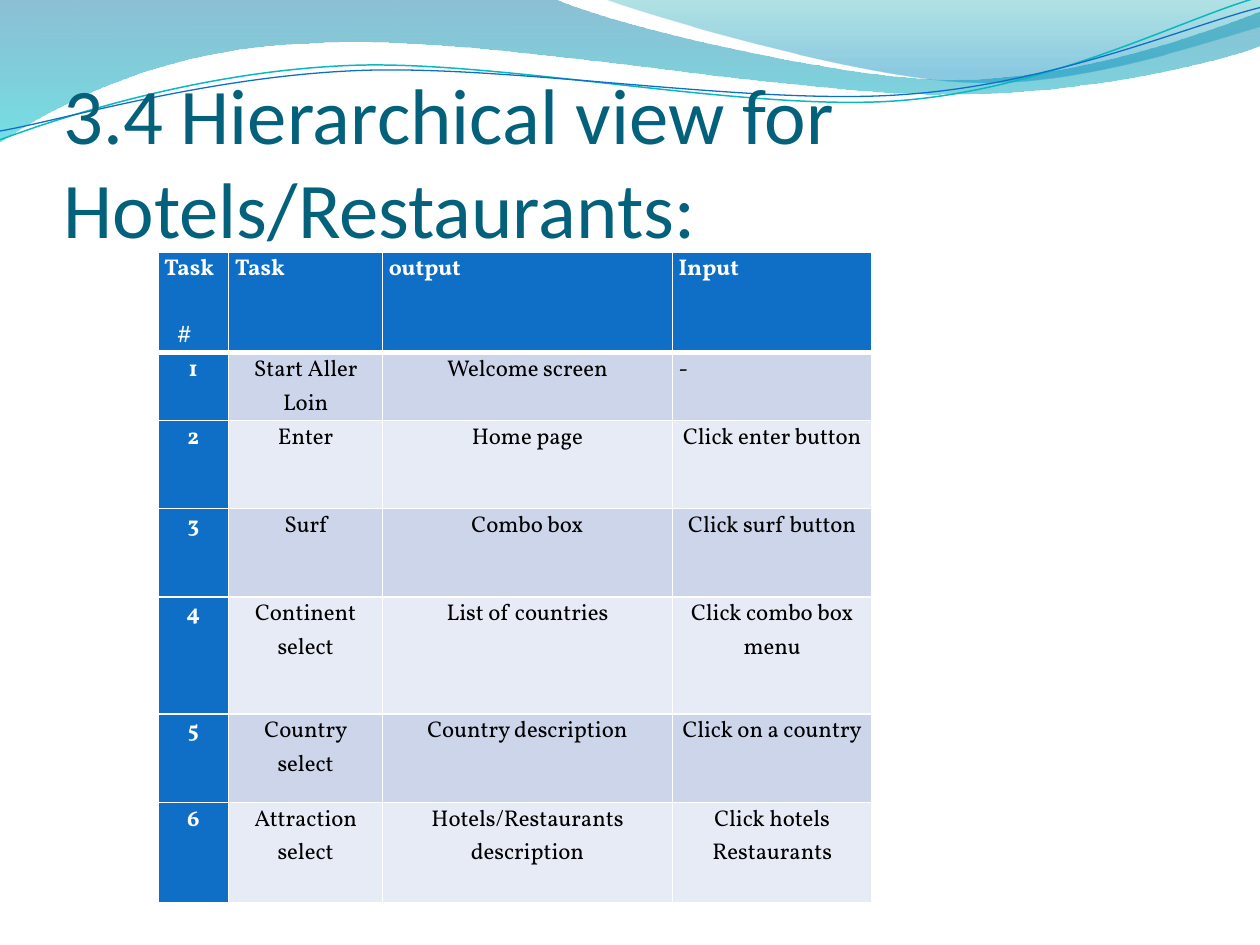
from lxml.etree import SubElement
from pptx import Presentation
from pptx.dml.color import RGBColor
from pptx.enum.text import MSO_ANCHOR, PP_ALIGN
from pptx.oxml.ns import qn
from pptx.util import Pt

WHITE = RGBColor(0xFF, 0xFF, 0xFF)
BLACK = RGBColor(0x00, 0x00, 0x00)
BLUE = RGBColor(0x0F, 0x6F, 0xC6)
TEAL = RGBColor(0x0A, 0xB8, 0xBF)
TITLE = RGBColor(0x04, 0x61, 0x7B)
BANDS = [RGBColor(0xCC, 0xD5, 0xEA), RGBColor(0xE7, 0xEB, 0xF5)]
BACK_GRADIENT = [(0, RGBColor(0x00, 0x74, 0xA1), 45), (1, RGBColor(0x00, 0xC6, 0xCF), 55)]
FRONT_GRADIENT = [(0, RGBColor(0x00, 0xA1, 0xA9), 30), (0.8, RGBColor(0x00, 0x8B, 0xBF), 45)]

BACK_WAVE = [
    [(0, 0)],
    [(316.8, -0.7)],
    [(342.7, 12.2), (478.1, 45.4), (545.8, 45.4)],
    [(614.2, 45.4), (689.8, 18.7), (720, 6.5)],
    [(720.7, 25.9)],
    [(707.8, 31.7), (626.4, 54.7), (537.1, 54)],
    [(447.8, 54), (275, 20.2), (185, 24.5)],
    [(92.9, 25.9), (33.1, 59.8), (-0.7, 81.4)],
    [(0, 0)],
]
FRONT_WAVE = [
    [(344.9, -0.7)],
    [(366.5, 7.9), (491, 44.6), (553.7, 46.8)],
    [(616.3, 49.7), (691.9, 23), (720, 15.1)],
    [(720, 0)],
    [(344.9, -0.7)],
]
TEAL_LINE = [
    [(-1.4, 62.9)],
    [(33.8, 51.7), (114.1, 29.4), (199.8, 29.9)],
    [(284.8, 30.3), (425.9, 67.3), (512.5, 64.8)],
    [(599.1, 62.4), (676.5, 25.7), (720.2, 15.6)],
]
BLUE_LINE = [
    [(-1.1, 57.9)],
    [(32.9, 53.7), (118.3, 32.5), (204.1, 33)],
    [(290.6, 33.4), (428.9, 63.8), (515.5, 61.4)],
    [(601.4, 59.6), (678.4, 30.1), (721.4, 21.3)],
]
LINE_ROTATION = 357.3

COL_WIDTHS = [40.5, 87.9, 165.6, 114.1]
ROW_HEIGHTS = [57.4, 38.9, 50.4, 50.4, 67, 50.4, 57.6]
ROWS = [
    ["Task\n#", "Task", "output", "Input"],
    ["1", "Start Aller Loin", "Welcome screen", "-"],
    ["2", "Enter", "Home page", "Click enter button"],
    ["3", "Surf", "Combo box", "Click surf button"],
    ["4", "Continent select", "List of countries", "Click combo box menu"],
    ["5", "Country select", "Country description", "Click on a country"],
    ["6", "Attraction select", "Hotels/Restaurants description", "Click hotels\nRestaurants"],
]


def add_outline(s, path, close):
    points = [(Pt(x), Pt(y)) for segment in path for x, y in segment]
    builder = s.shapes.build_freeform(*points[0])
    builder.add_line_segments(points[1:], close=close)
    sp = builder.convert_to_shape()
    sp.shadow.inherit = False
    steps = iter(list(sp._element.iter(qn("a:lnTo"))))
    for segment in path[1:]:
        parts = [next(steps) for _ in segment]
        if len(parts) == 3:
            curve = parts[0].makeelement(qn("a:cubicBezTo"))
            parts[0].addprevious(curve)
            for part in parts:
                curve.append(part[0])
                part.getparent().remove(part)
    return sp


def add_wave(s, path, gradient):
    sp = add_outline(s, path, True)
    sp.line.fill.background()
    sp.fill.gradient()
    sp.fill.gradient_angle = 270
    for stop, (position, color, _) in zip(sp.fill.gradient_stops, gradient):
        stop.position = position
        stop.color.rgb = color
    colors = sp._element.spPr.find(qn("a:gradFill")).iter(qn("a:srgbClr"))
    for el, (_, _, opacity) in zip(colors, gradient):
        SubElement(el, qn("a:alpha"), val=str(opacity * 1000))


def add_curve(s, path, color, width):
    sp = add_outline(s, path, False)
    sp.rotation = LINE_ROTATION
    sp.fill.background()
    sp.line.color.rgb = color
    sp.line.width = Pt(width)


def add_run(p, text, font, size, color, bold=False):
    r = p.add_run()
    r.text = text
    r.font.name = font
    r.font.size = Pt(size)
    r.font.color.rgb = color
    r.font.bold = bold


def add_title(s, text):
    tf = s.shapes.add_textbox(Pt(36.3), Pt(55.4), Pt(648), Pt(90)).text_frame
    tf.word_wrap = True
    tf.vertical_anchor = MSO_ANCHOR.BOTTOM
    tf.margin_left = tf.margin_right = tf.margin_bottom = Pt(0)
    tf.margin_top = Pt(3.6)
    add_run(tf.paragraphs[0], text, "Calibri", 45, TITLE)


def set_borders(cell, top, bottom):
    tcPr = cell._tc.get_or_add_tcPr()
    for side, width in (("L", 1), ("R", 1), ("T", top), ("B", bottom)):
        ln = SubElement(tcPr, qn(f"a:ln{side}"), w=str(Pt(width)))
        fill = SubElement(ln, qn("a:solidFill"))
        SubElement(fill, qn("a:srgbClr"), val=str(WHITE))


def fill_cell(cell, text, row, col):
    header = row == 0
    strong = header or col == 0
    set_borders(cell, 3 if row == 1 else 1, 3 if header else 1)
    cell.fill.solid()
    cell.fill.fore_color.rgb = BLUE if strong else BANDS[(row - 1) % 2]
    cell.margin_left = cell.margin_right = Pt(3.6)
    cell.margin_top = cell.margin_bottom = Pt(0)
    tf = cell.text_frame
    for i, line in enumerate(text.split("\n")):
        p = tf.add_paragraph() if i else tf.paragraphs[0]
        p.alignment = PP_ALIGN.JUSTIFY if header or text == "-" else PP_ALIGN.CENTER
        p.line_spacing = 1.07
        if header and i:
            p.space_before = Pt(19)
            p._p.get_or_add_pPr().set("marL", str(Pt(7.5)))
        add_run(p, line, "Vollkorn", 13, WHITE if strong else BLACK, strong)


def add_task_table(s):
    frame = s.shapes.add_table(len(ROWS), len(COL_WIDTHS), Pt(90.2), Pt(144),
                               Pt(sum(COL_WIDTHS)), Pt(sum(ROW_HEIGHTS)))
    table = frame.table
    table.horz_banding = False
    for column, width in zip(table.columns, COL_WIDTHS):
        column.width = Pt(width)
    for row, height in zip(table.rows, ROW_HEIGHTS):
        row.height = Pt(height)
    for i, texts in enumerate(ROWS):
        for j, text in enumerate(texts):
            fill_cell(table.cell(i, j), text, i, j)


def main():
    prs = Presentation()
    prs.slide_width, prs.slide_height = Pt(720), Pt(540)
    s = prs.slides.add_slide(prs.slide_layouts[6])
    add_wave(s, BACK_WAVE, BACK_GRADIENT)
    add_wave(s, FRONT_WAVE, FRONT_GRADIENT)
    add_curve(s, TEAL_LINE, TEAL, 0.85)
    add_curve(s, BLUE_LINE, BLUE, 0.75)
    add_title(s, "3.4 Hierarchical view for Hotels/Restaurants:")
    add_task_table(s)
    prs.save("out.pptx")


if __name__ == "__main__":
    main()
